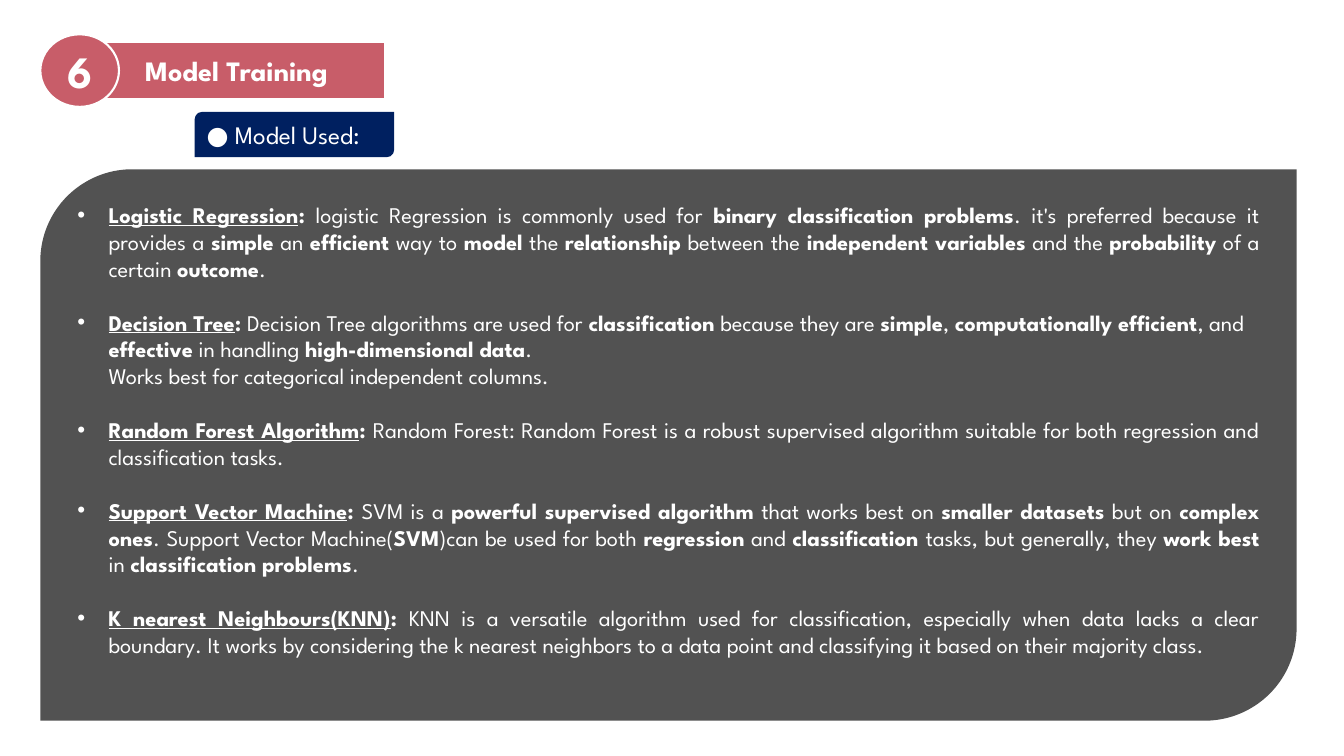
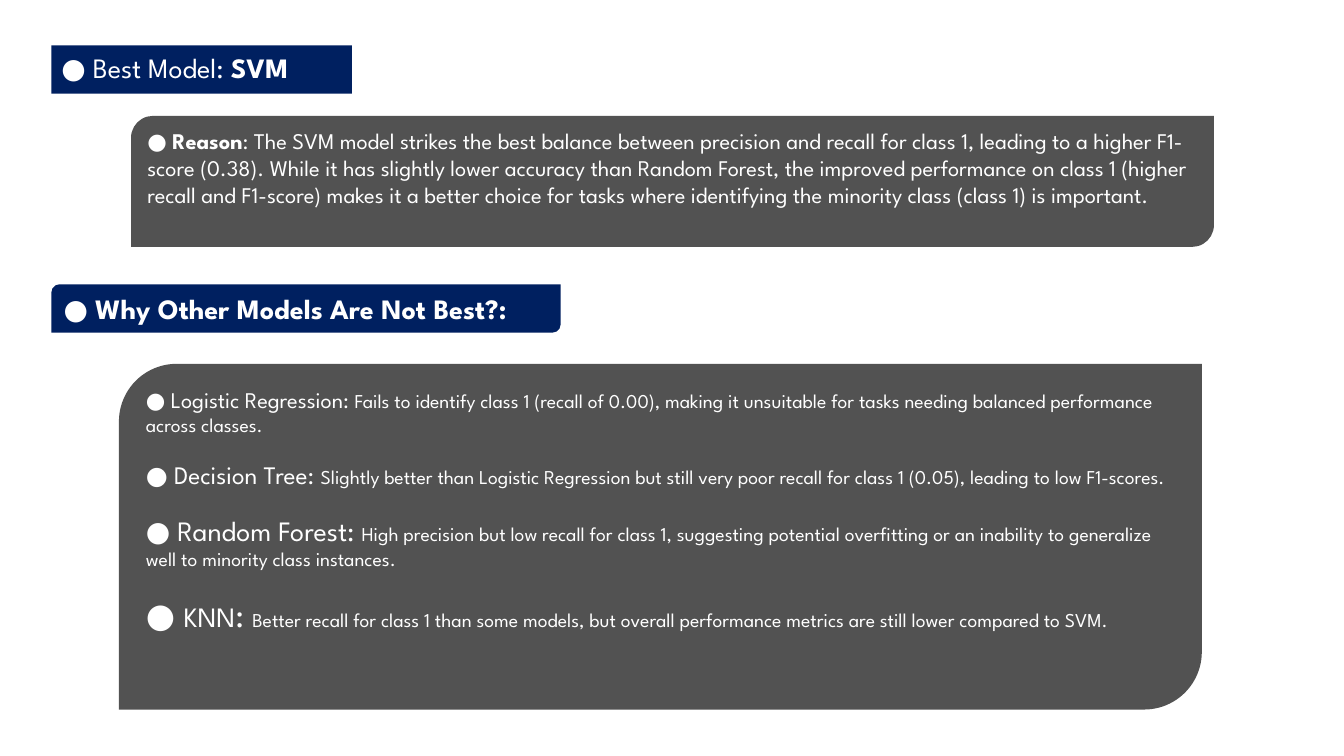
from pptx import Presentation
from pptx.dml.color import RGBColor
from pptx.enum.shapes import MSO_SHAPE
from pptx.enum.text import MSO_ANCHOR, MSO_AUTO_SIZE, PP_ALIGN
from pptx.oxml.xmlchemy import OxmlElement
from pptx.util import Inches, Pt

FONT = "League Spartan"
WHITE = RGBColor(0xFF, 0xFF, 0xFF)
ROSE = RGBColor(0xC8, 0x5D, 0x69)
NAVY = RGBColor(0x00, 0x20, 0x60)
GRAY = RGBColor(0x52, 0x52, 0x52)

DIAGONAL = MSO_SHAPE.ROUND_2_DIAG_RECTANGLE
TITLE_AND_BODY = 1
HANG = 0.31
LABEL_LEFT = 0.51
LABEL_HEIGHT = 0.48
PANEL_WIDTH = 10.74

MODELS = [
    ("Logistic Regression", PP_ALIGN.JUSTIFY,
     "logistic Regression is commonly used for *binary classification problems*. "
     "it's preferred because it provides a *simple* an *efficient* way to *model* the "
     "*relationship* between the *independent variables* and the *probability* of a "
     "certain *outcome*."),
    ("Decision Tree", PP_ALIGN.LEFT,
     "Decision Tree algorithms are used for *classification* because they are *simple*, "
     "*computationally efficient*, and *effective* in handling *high-dimensional data*."),
    ("Random Forest Algorithm", PP_ALIGN.JUSTIFY,
     "Random Forest: Random Forest is a robust supervised algorithm suitable for both "
     "regression and classification tasks."),
    ("Support Vector Machine", PP_ALIGN.JUSTIFY,
     "SVM is a *powerful supervised algorithm* that works best on *smaller datasets* but "
     "on *complex ones*. Support Vector Machine(*SVM*)can be used for both *regression* "
     "and *classification *tasks, but generally, they *work best* in "
     "*classification problems*."),
    ("K nearest Neighbours(KNN)", PP_ALIGN.JUSTIFY,
     "KNN is a versatile algorithm used for classification, especially when data lacks a "
     "clear boundary. It works by considering the k nearest neighbors to a data point and "
     "classifying it based on their majority class."),
]
EXTRA_NOTES = {"Decision Tree": "Works best for categorical independent columns."}

REASON = (
    "● *Reason*: The SVM model strikes the best balance between precision and recall for "
    "class 1, leading to a higher F1-score (0.38). While it has slightly lower accuracy "
    "than Random Forest, the improved performance on class 1 (higher recall and F1-score) "
    "makes it a better choice for tasks where identifying the minority class (class 1) is "
    "important.")

WEAKNESSES = [
    ([("● Logistic Regression: ", 16)],
     "Fails to identify class 1 (recall of 0.00), making it unsuitable for tasks needing "
     "balanced performance across classes."),
    ([("● Decision Tree: ", 18)],
     "Slightly better than Logistic Regression but still very poor recall for class 1 "
     "(0.05), leading to low F1-scores."),
    ([("● Random Forest: ", 20)],
     "High precision but low recall for class 1, suggesting potential overfitting or an "
     "inability to generalize well to minority class instances."),
    ([("● ", 24), ("KNN", 20), (": ", 24)],
     "Better recall for class 1 than some models, but overall performance metrics are "
     "still lower compared to SVM."),
]


def write(para, text, size=16, bold=False, underline=False):
    span = para.add_run()
    span.text = text
    font = span.font
    font.name, font.size, font.bold = FONT, Pt(size), bold
    font.color.rgb = WHITE
    if underline:
        font.underline = True


def write_marked(para, text, size=16):
    for index, part in enumerate(text.split("*")):
        if part:
            write(para, part, size=size, bold=index % 2 == 1)


def add_para(box, align=PP_ALIGN.LEFT, gap=0, margin=0, bullet=None):
    frame = box.text_frame
    first = frame.paragraphs[0]
    is_new = not first.runs
    para = first if is_new else frame.add_paragraph()
    para.alignment = align
    para.space_before = Pt(0 if is_new else gap)
    para.space_after = Pt(0)
    properties = para._p.get_or_add_pPr()
    properties.set("marL", str(Inches(margin)))
    properties.set("indent", str(Inches(-margin if bullet else 0)))
    if bullet:
        typeface = OxmlElement("a:buFont")
        typeface.set("typeface", "Arial")
        mark = OxmlElement("a:buChar")
        mark.set("char", bullet)
        properties.extend([typeface, mark])
    else:
        properties.append(OxmlElement("a:buNone"))
    return para


def style_box(box, fill, outlined=False, anchor=MSO_ANCHOR.TOP):
    box.fill.solid()
    box.fill.fore_color.rgb = fill
    if outlined:
        box.line.color.rgb = WHITE
        box.line.width = Pt(1.5)
    else:
        box.line.fill.background()
    frame = box.text_frame
    frame.word_wrap = True
    frame.auto_size = MSO_AUTO_SIZE.NONE
    frame.vertical_anchor = anchor
    return box


def add_box(page, kind, area, fill, **style):
    box = page.shapes.add_shape(kind, *map(Inches, area))
    box.shadow.inherit = False
    return style_box(box, fill, **style)


def shape_placeholder(box, preset, area, fill, **style):
    box.left, box.top, box.width, box.height = map(Inches, area)
    geometry = OxmlElement("a:prstGeom")
    geometry.set("prst", preset)
    geometry.append(OxmlElement("a:avLst"))
    box._element.spPr.xfrm.addnext(geometry)
    return style_box(box, fill, **style)


def add_page(deck):
    page = deck.slides.add_slide(deck.slide_layouts[TITLE_AND_BODY])
    return page, page.shapes.title, page.placeholders[1]


def build_model_training(deck):
    page, title, body = add_page(deck)
    shape_placeholder(title, "roundRect", (0.87, 0.42, 2.95, 0.56), ROSE,
                      outlined=True, anchor=MSO_ANCHOR.MIDDLE)
    write(add_para(title, PP_ALIGN.CENTER), "Model Training", size=20, bold=True)
    badge = add_box(page, MSO_SHAPE.OVAL, (0.4, 0.34, 0.78, 0.72), ROSE,
                    outlined=True, anchor=MSO_ANCHOR.MIDDLE)
    write(add_para(badge, PP_ALIGN.CENTER), "6", size=32, bold=True)

    shape_placeholder(body, "round2DiagRect", (0.4, 1.68, 12.46, 5.47), GRAY)
    for name, align, text in MODELS:
        para = add_para(body, align, gap=19.2, margin=HANG, bullet="•")
        write(para, name, bold=True, underline=True)
        write(para, ": ", bold=True)
        write_marked(para, text)
        if name in EXTRA_NOTES:
            write(add_para(body, margin=HANG), EXTRA_NOTES[name])

    label = add_box(page, DIAGONAL, (1.93, 1.11, 1.98, 0.45), NAVY)
    write(add_para(label, PP_ALIGN.JUSTIFY), "● Model Used:", size=18)


def build_best_model(deck):
    page, title, body = add_page(deck)
    shape_placeholder(title, "round2DiagRect",
                      (LABEL_LEFT, 0.45, 2.98, LABEL_HEIGHT), NAVY)
    write_marked(add_para(title, PP_ALIGN.JUSTIFY), "● Best Model: *SVM*", size=20)

    reason = add_box(page, DIAGONAL, (1.3, 1.15, PANEL_WIDTH, 1.3), GRAY)
    write_marked(add_para(reason), REASON)

    label = add_box(page, DIAGONAL, (LABEL_LEFT, 2.82, 5.05, LABEL_HEIGHT), NAVY)
    write_marked(add_para(label, PP_ALIGN.JUSTIFY),
                 "● *Why Other Models Are Not Best?:*", size=20)

    shape_placeholder(body, "round2DiagRect", (1.18, 3.61, PANEL_WIDTH, 3.43), GRAY)
    for heading, text in WEAKNESSES:
        para = add_para(body, gap=16.8)
        for part, size in heading:
            write(para, part, size=size)
        write(para, text, size=14)


def main():
    deck = Presentation()
    deck.slide_width, deck.slide_height = Inches(13.33), Inches(7.5)
    build_model_training(deck)
    build_best_model(deck)
    deck.save("out.pptx")


if __name__ == "__main__":
    main()
